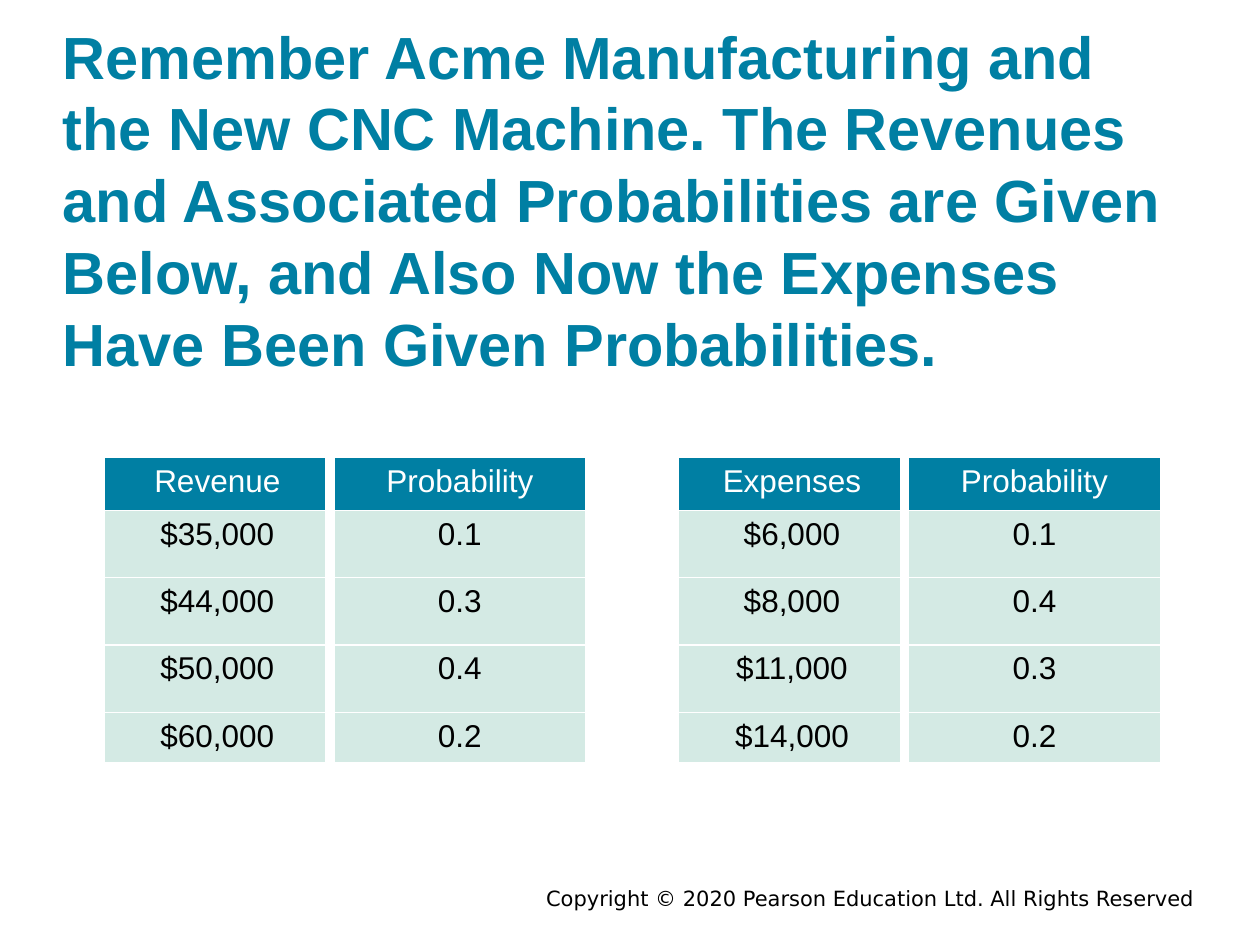
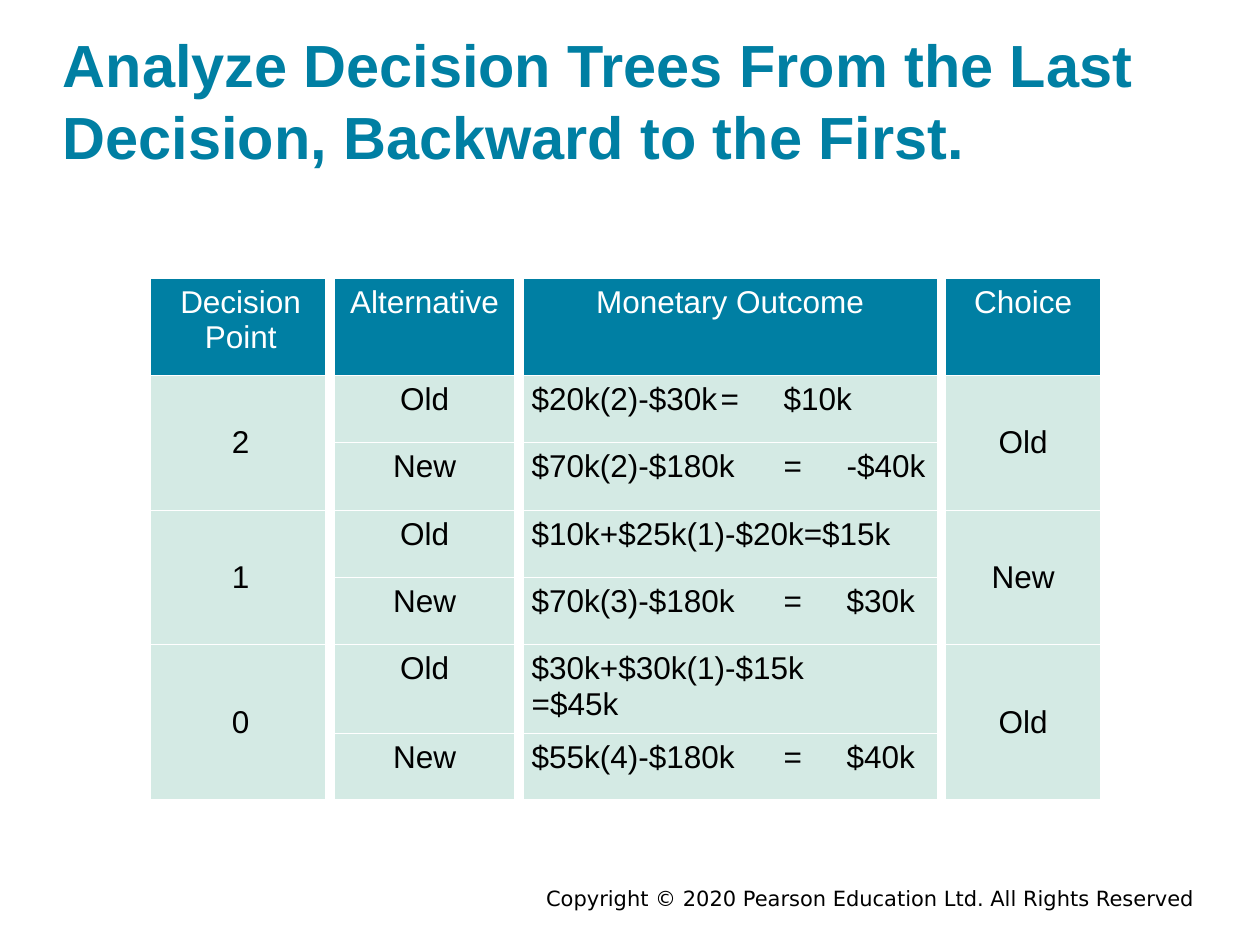
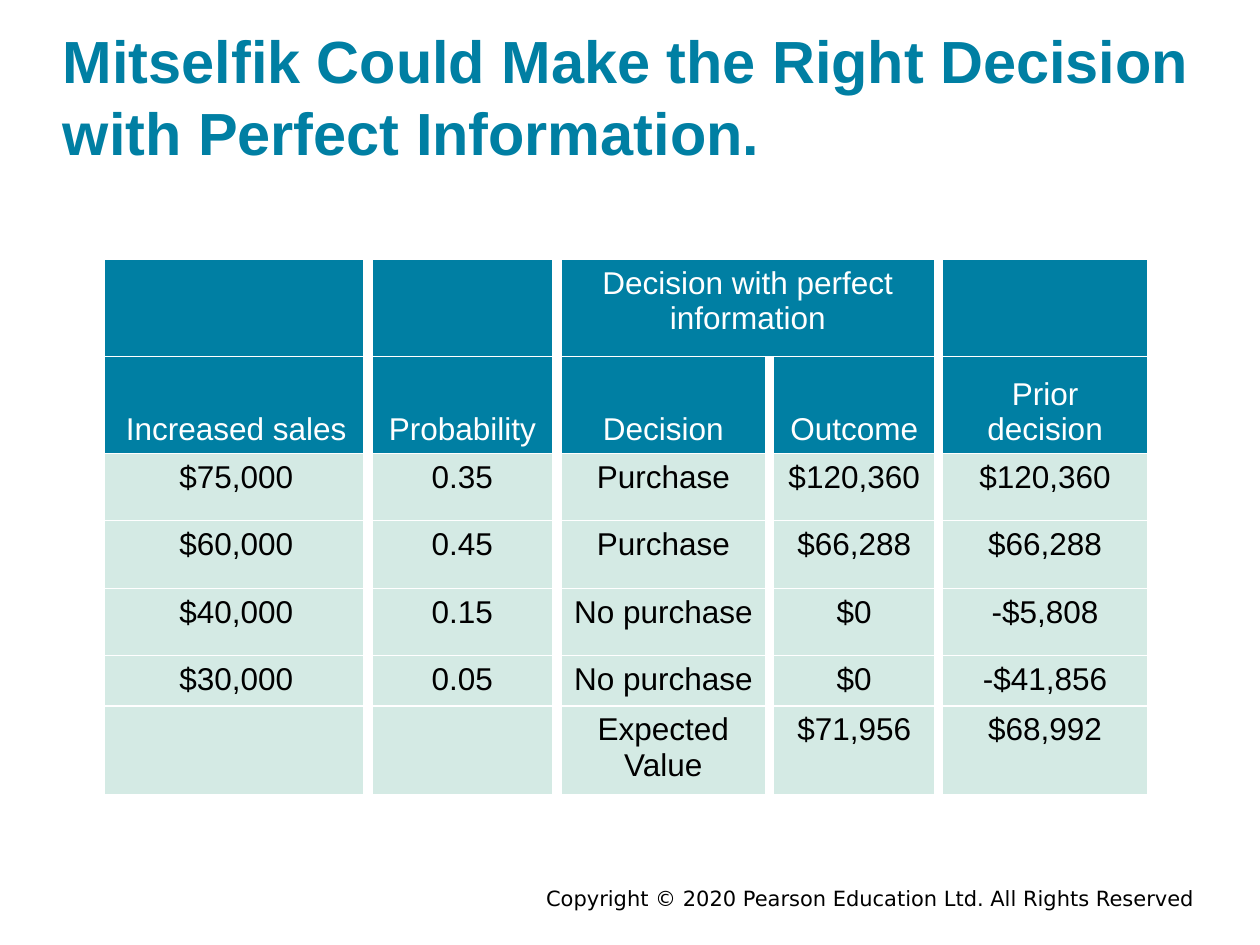
import pptx
import pptx.dml.color
import pptx.enum.text
import pptx.oxml.ns
import pptx.util
from lxml import etree

Inches = pptx.util.Inches
Pt = pptx.util.Pt
ALIGN = pptx.enum.text.PP_ALIGN
ANCHOR = pptx.enum.text.MSO_ANCHOR

TEAL, MINT, WHITE, BLACK = "007FA3", "D4EAE4", "FFFFFF", "000000"
COPYRIGHT = "Copyright © 2020 Pearson Education Ltd. All Rights Reserved"
TAB_STOPS = (1.5, 2, 2.5)
COLUMN_GAP, ROW_LINE = 6, 0.75  # border widths in points


def rgb(color):
    return pptx.dml.color.RGBColor.from_string(color)


def style(p, size, color, align=ALIGN.LEFT, font="Arial", bold=False):
    p.alignment = align
    for r in p.runs:
        r.font.name, r.font.size, r.font.bold = font, Pt(size), bold
        r.font.color.rgb = rgb(color)


def sub(parent, tag, **attrs):
    return etree.SubElement(parent, pptx.oxml.ns.qn(tag), **attrs)


def add_text(slide, box, text, anchor=ANCHOR.TOP):
    tf = slide.shapes.add_textbox(*map(Inches, box)).text_frame
    tf.margin_left = tf.margin_right = tf.margin_top = tf.margin_bottom = 0
    tf.word_wrap = True
    tf.vertical_anchor = anchor
    tf.text = text
    return tf.paragraphs[0]


def new_slide(prs, title, top, height):
    """Blank slide with the shared copyright line and title style."""
    slide = prs.slides.add_slide(prs.slide_layouts[6])
    p = add_text(slide, (2.84, 7.03, 6.64, 0.3), COPYRIGHT)
    style(p, 12, BLACK, ALIGN.RIGHT, "DejaVu Sans")
    p = add_text(slide, (0.5, top, 9, height), title, ANCHOR.BOTTOM)
    p.line_spacing = Pt(41)
    style(p, 34, TEAL, bold=True)
    return slide


def set_borders(cell, first_column):
    tcPr = cell._tc.get_or_add_tcPr()
    for side, width in (("L", COLUMN_GAP), ("R", COLUMN_GAP), ("T", ROW_LINE), ("B", ROW_LINE)):
        ln = sub(tcPr, "a:ln" + side, w=str(Pt(width)))
        if side == "L" and first_column:
            sub(ln, "a:noFill")
        else:
            sub(sub(ln, "a:solidFill"), "a:srgbClr", val=WHITE)


def add_tabs(p):
    tabs = sub(p._p.get_or_add_pPr(), "a:tabLst")
    for stop in TAB_STOPS:
        sub(tabs, "a:tab", pos=str(Inches(stop)), algn="l")


def add_grid(slide, left, top, widths, heights, rows, headers=1, left_column=None):
    """Table with teal header rows and mint body rows; left_column holds formulas."""
    box = (left, top, sum(widths), sum(heights))
    table = slide.shapes.add_table(len(rows), len(widths), *map(Inches, box)).table
    table.first_row = table.horz_banding = False
    for column, width in zip(table.columns, widths):
        column.width = Inches(width)
    for row, height in zip(table.rows, heights):
        row.height = Inches(height)
    for i, texts in enumerate(rows):
        for j, text in enumerate(texts):
            cell = table.cell(i, j)
            set_borders(cell, j == 0)
            is_header = i < headers
            cell.fill.solid()
            cell.fill.fore_color.rgb = rgb(TEAL if is_header else MINT)
            if not text:
                continue
            cell.text = text
            p = cell.text_frame.paragraphs[0]
            is_formula = j == left_column and not is_header
            if is_formula:
                add_tabs(p)
            style(p, 18, WHITE if is_header else BLACK,
                  ALIGN.LEFT if is_formula else ALIGN.CENTER)
    return table


def revenue_slide(prs):
    slide = new_slide(
        prs, "Remember Acme Manufacturing and the New CNC Machine. The Revenues and "
        "Associated Probabilities are Given Below, and Also Now the Expenses Have "
        "Been Given Probabilities.", 0.14, 2.86)
    revenues = [("Revenue", "Probability"), ("$35,000", "0.1"), ("$44,000", "0.3"),
                ("$50,000", "0.4"), ("$60,000", "0.2")]
    expenses = [("Expenses", "Probability"), ("$6,000", "0.1"), ("$8,000", "0.4"),
                ("$11,000", "0.3"), ("$14,000", "0.2")]
    heights = [0.42] + [0.535] * 3 + [0.4]
    for left, rows in ((0.83, revenues), (5.39, expenses)):
        add_grid(slide, left, 3.63, [1.79, 2.06], heights, rows)


def decision_slide(prs):
    slide = new_slide(
        prs, "Analyze Decision Trees From the Last Decision, Backward to the First.",
        0.22, 1.14)
    # Decision point, outcome of old, outcome of new, choice
    points = [("2", "$20k(2)-$30k\t=\t$10k", "$70k(2)-$180k\t=\t-$40k", "Old"),
              ("1", "$10k+$25k(1)-$20k=$15k", "$70k(3)-$180k\t=\t$30k", "New"),
              ("0", "$30k+$30k(1)-$15k\t=$45k", "$55k(4)-$180k\t=\t$40k", "Old")]
    rows = [("Decision Point", "Alternative", "Monetary Outcome", "Choice")]
    for point, old, new, choice in points:
        rows += [(point, "Old", old, choice), ("", "New", new, "")]
    heights = [0.77] + [0.535] * 4 + [0.66, 0.53]
    table = add_grid(slide, 1.2, 2.21, [1.42, 1.5, 3.35, 1.3], heights, rows, left_column=2)
    # Each decision point spans its two alternatives
    for i in range(1, len(rows), 2):
        for j in (0, 3):
            table.cell(i, j).merge(table.cell(i + 1, j))
            table.cell(i, j).vertical_anchor = ANCHOR.MIDDLE


def perfect_information_slide(prs):
    slide = new_slide(
        prs, "Mitselfik Could Make the Right Decision with Perfect Information.", 0.19, 1.14)
    rows = [("", "", "Decision with perfect information", "", ""),
            ("Increased sales", "Probability", "Decision", "Outcome", "Prior decision"),
            ("$75,000", "0.35", "Purchase", "$120,360", "$120,360"),
            ("$60,000", "0.45", "Purchase", "$66,288", "$66,288"),
            ("$40,000", "0.15", "No purchase", "$0", "-$5,808"),
            ("$30,000", "0.05", "No purchase", "$0", "-$41,856"),
            ("", "", "Expected Value", "$71,956", "$68,992")]
    heights = [0.77] * 2 + [0.535] * 3 + [0.38, 0.66]
    table = add_grid(slide, 0.83, 2.06, [2.09, 1.5, 1.69, 1.34, 1.69], heights, rows, headers=2)
    table.cell(0, 2).merge(table.cell(0, 3))
    for j in range(len(rows[1])):
        table.cell(1, j).vertical_anchor = ANCHOR.BOTTOM


def main():
    prs = pptx.Presentation()
    prs.slide_width, prs.slide_height = Inches(10), Inches(7.5)
    revenue_slide(prs)
    decision_slide(prs)
    perfect_information_slide(prs)
    prs.save("out.pptx")


if __name__ == "__main__":
    main()
